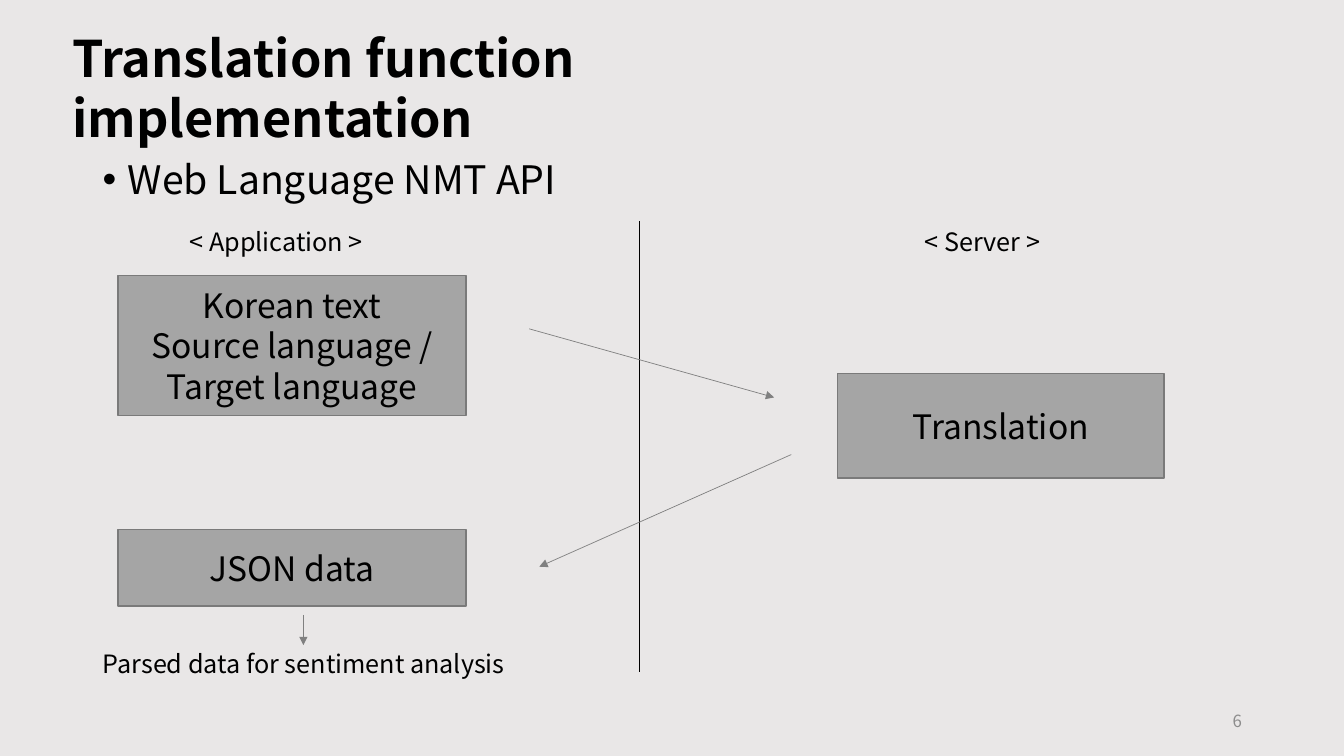
"""Build the slide on how the translation function is implemented."""
from lxml.etree import SubElement
from pptx import Presentation
from pptx.dml.color import RGBColor
from pptx.enum.shapes import MSO_CONNECTOR as Conn, MSO_SHAPE as Shape
from pptx.enum.text import MSO_ANCHOR as Anchor, PP_ALIGN as Align
from pptx.oxml.ns import qn
from pptx.util import Pt

FONT = "Noto Sans CJK KR"
BACK = RGBColor(0xE9, 0xE7, 0xE7)
BLACK = RGBColor(0, 0, 0)
FILL = RGBColor(0xA5, 0xA5, 0xA5)
EDGE = RGBColor(0x7A, 0x7A, 0x7A)
ARROW = RGBColor(0x80, 0x80, 0x80)
PALE = RGBColor(0x8C, 0x8C, 0x8C)

TITLE = ("Translation function implementation", (44.6, 15.8, 657.4, 94.3))
TOPIC = ("Web Language NMT API", (66.2, 110.9, 828, 349.9))
PAGE = ("6", (678.2, 500.4, 216, 28.8))
LABELS = [
    ("< Application >", (124.6, 157.9, 145.4, 29)),
    ("< Server >", (649.6, 157.9, 104.4, 29)),
    ("Parsed data for sentiment analysis", (28, 459.4, 378, 29)),
]
BOXES = [
    ("Korean text\nSource language / Target language", (84.2, 196.8, 248.7, 100)),
    ("Translation", (598.3, 266.7, 233.3, 74.9)),
    ("JSON data", (84.2, 378.2, 248.7, 54.7)),
]
DIVIDE = (456.9, 157.7, 456.9, 480.2)
ARROWS = [
    (378, 234.9, 553, 283.9),
    (565.2, 324.7, 385.2, 404.8),
    (216.7, 439.2, 216.7, 460.8),
]


def write(shape, text, size, color=BLACK, align=Align.LEFT, bold=False):
    frame = shape.text_frame
    frame.word_wrap = True
    frame.text = text
    for para in frame.paragraphs:
        para.alignment = align
        font = para.font
        font.name, font.size, font.bold = FONT, Pt(size), bold
        font.color.rgb = color
    return frame


def add_text(slide, item, size, **style):
    text, area = item
    shape = slide.shapes.add_textbox(*map(Pt, area))
    return write(shape, text, size, **style)


def add_box(slide, text, area):
    box = slide.shapes.add_shape(Shape.RECTANGLE, *map(Pt, area))
    box.shadow.inherit = False
    box.fill.solid()
    box.fill.fore_color.rgb = FILL
    box.line.color.rgb = EDGE
    box.line.width = Pt(1)
    write(box, text, 24, align=Align.CENTER).vertical_anchor = Anchor.MIDDLE


def add_line(slide, ends, color, head=False):
    link = slide.shapes.add_connector(Conn.STRAIGHT, *map(Pt, ends))
    link.line.color.rgb = color
    link.line.width = Pt(0.5)
    props = link._element.spPr
    if head:
        SubElement(props.get_or_add_ln(), qn("a:tailEnd"), type="triangle")
    SubElement(props, qn("a:effectLst"))


def add_topic(slide):
    para = add_text(slide, TOPIC, 28).paragraphs[0]
    para.line_spacing = 0.9
    para.space_before = Pt(10)
    props = para._p.get_or_add_pPr()
    props.set("marL", str(Pt(18)))
    props.set("indent", str(Pt(-18)))
    SubElement(props, qn("a:buFont"), typeface="Arial")
    SubElement(props, qn("a:buChar"), char="•")
    props.append(props.find(qn("a:defRPr")))


def main():
    deck = Presentation()
    deck.slide_width, deck.slide_height = Pt(960), Pt(540)
    slide = deck.slides.add_slide(deck.slide_layouts[6])
    slide.background.fill.solid()
    slide.background.fill.fore_color.rgb = BACK
    add_text(slide, TITLE, 36, bold=True)
    page = add_text(slide, PAGE, 12, color=PALE, align=Align.RIGHT)
    page.vertical_anchor = Anchor.MIDDLE
    add_topic(slide)
    for text, area in BOXES:
        add_box(slide, text, area)
    for label in LABELS:
        add_text(slide, label, 18, align=Align.CENTER).word_wrap = False
    add_line(slide, DIVIDE, BLACK)
    for ends in ARROWS:
        add_line(slide, ends, ARROW, head=True)
    deck.save("out.pptx")


if __name__ == "__main__":
    main()
